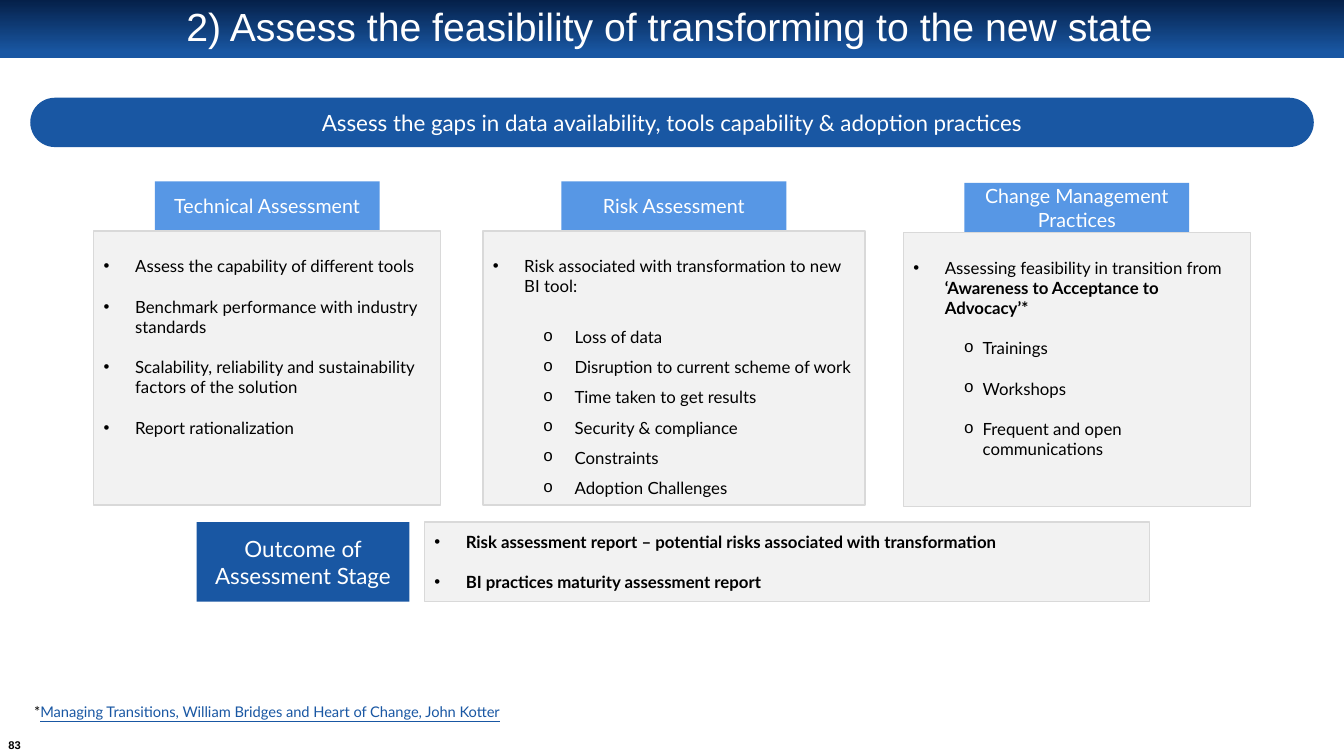
from dataclasses import dataclass

from pptx import Presentation
from pptx.dml.color import RGBColor
from pptx.enum.shapes import MSO_SHAPE
from pptx.enum.text import MSO_ANCHOR, PP_ALIGN
from pptx.oxml.ns import qn
from pptx.util import Inches, Pt
from lxml import etree

RECTANGLE, ROUNDED = MSO_SHAPE.RECTANGLE, MSO_SHAPE.ROUNDED_RECTANGLE
TOP, MIDDLE = MSO_ANCHOR.TOP, MSO_ANCHOR.MIDDLE
LEFT, CENTER = PP_ALIGN.LEFT, PP_ALIGN.CENTER
SLIDE_WIDTH, SLIDE_HEIGHT = Inches(13.33), Inches(7.5)


@dataclass(frozen=True)
class Theme:
    navy: str = "052049"
    blue: str = "1957A3"
    sky: str = "5797E5"
    panel: str = "F2F2F2"
    border: str = "D9D9D9"
    white: str = "FFFFFF"
    black: str = "000000"
    title_font: str = "Arial"
    body_font: str = "Lato"
    title_size: float = 28
    banner_size: float = 16
    head_size: float = 14
    body_size: float = 12
    note_size: float = 10.5
    page_size: float = 8
    blank_line: float = 14.4


THEME = Theme()


# Places are percentages of the slide's width and height
@dataclass(frozen=True)
class Area:
    left: float
    top: float
    width: float
    height: float


@dataclass(frozen=True)
class Span:
    words: str
    size: float = THEME.body_size
    color: str = THEME.black
    font: str = THEME.body_font
    bold: bool = False
    underline: bool = False


@dataclass(frozen=True)
class Line:
    spans: tuple[Span, ...]
    align: PP_ALIGN = LEFT
    bullet: str = ""
    level: int = 0
    indent: float = 2.34
    hanging: float = 2.34
    gap: float = 0
    spacing: float = 1


@dataclass(frozen=True)
class Column:
    heading: str
    left: float
    top: float
    width: float
    lines: tuple[Line, ...]


def across(share: float) -> int:
    return round(SLIDE_WIDTH * share / 100)


def down(share: float) -> int:
    return round(SLIDE_HEIGHT * share / 100)


def place(area: Area) -> tuple[int, int, int, int]:
    return across(area.left), down(area.top), across(area.width), down(area.height)


def label(words: str, size: float, font: str = THEME.body_font) -> Line:
    return Line((Span(words, size, THEME.white, font),), CENTER)


def point(words: str, gap: float = THEME.blank_line, bold: bool = False) -> Line:
    return Line((Span(words, bold=bold),), bullet="•", gap=gap)


def add_bullet(para, line: Line) -> None:
    properties = para._p.get_or_add_pPr()
    properties.set("marL", str(across(line.indent)))
    properties.set("indent", str(-across(line.hanging)))
    typeface = "Arial" if line.bullet == "•" else "Courier New"
    etree.SubElement(properties, qn("a:buFont"), typeface=typeface)
    etree.SubElement(properties, qn("a:buChar"), char=line.bullet)


def write(box, lines: tuple[Line, ...], anchor: MSO_ANCHOR = MIDDLE) -> None:
    frame = box.text_frame
    frame.word_wrap = True
    frame.vertical_anchor = anchor
    for index, line in enumerate(lines):
        para = frame.add_paragraph() if index else frame.paragraphs[0]
        para.text = line.spans[0].words
        for span in line.spans[1:]:
            para.add_run().text = span.words
        para.alignment = line.align
        para.level = line.level
        if line.bullet:
            add_bullet(para, line)
        if line.gap:
            para.space_before = Pt(line.gap)
        if line.spacing != 1:
            para.line_spacing = line.spacing
        for run, span in zip(para.runs, line.spans):
            run.font.name = span.font
            run.font.size = Pt(span.size)
            run.font.bold = span.bold
            run.font.underline = span.underline
            run.font.color.rgb = RGBColor.from_string(span.color)


def add_block(page, area: Area, fill: str, border: str = "", kind: MSO_SHAPE = RECTANGLE):
    box = page.shapes.add_shape(kind, *place(area))
    box.shadow.inherit = False
    box.fill.solid()
    box.fill.fore_color.rgb = RGBColor.from_string(fill)
    if border:
        box.line.color.rgb = RGBColor.from_string(border)
        box.line.width = Pt(1)
    else:
        box.line.fill.background()
    return box


def add_column(page, column: Column) -> None:
    head_width, head_height = 16.73, 6.53
    head_left = column.left + (column.width - head_width) / 2
    head = add_block(page, Area(head_left, column.top, head_width, head_height), THEME.sky)
    write(head, (label(column.heading, THEME.head_size),))
    body_area = Area(column.left, column.top + head_height, column.width, 36.27)
    body = add_block(page, body_area, THEME.panel, THEME.border)
    body.text_frame.margin_top = down(3.33)
    write(body, column.lines, TOP)


RISKS = ("Loss of data", "Disruption to current scheme of work", "Time taken to get results",
         "Security & compliance", "Constraints", "Adoption Challenges")
PRACTICES = ("Trainings", "Workshops", "Frequent and open communications")

COLUMNS = (
    Column("Technical Assessment", 6.98, 24, 25.81, (
        point("Assess the capability of different tools", gap=0),
        point("Benchmark performance with industry standards"),
        point("Scalability, reliability and sustainability factors of the solution"),
        point("Report rationalization"))),
    Column("Risk Assessment", 35.93, 24, 28.43, (
        point("Risk associated with transformation to new BI tool:", gap=0),
        *(Line((Span(risk),), bullet="o", level=1, indent=6.09, spacing=1.5,
               gap=0 if index else THEME.blank_line) for index, risk in enumerate(RISKS)))),
    Column("Change Management Practices", 67.22, 24.2, 25.81, (
        Line((Span("Assessing feasibility in transition from "),
              Span("‘Awareness to Acceptance to Advocacy’*", bold=True)), bullet="•"),
        *(Line((Span(practice),), bullet="o", level=1, indent=5.16, hanging=1.41,
               gap=THEME.blank_line) for practice in PRACTICES))),
)


def main() -> None:
    deck = Presentation()
    deck.slide_width, deck.slide_height = SLIDE_WIDTH, SLIDE_HEIGHT
    page = deck.slides.add_slide(deck.slide_layouts[6])

    # Title band
    band = add_block(page, Area(0, 0, 100, 7.73), THEME.blue)
    band.fill.gradient()
    band.fill.gradient_angle = 270
    for stop, color, position in zip(band.fill.gradient_stops, (THEME.navy, THEME.blue), (0, 0.9)):
        stop.color.rgb = RGBColor.from_string(color)
        stop.position = position
    title = page.shapes.add_textbox(*place(Area(4.95, 0.8, 89.72, 6)))
    title_span = Span("2) Assess the feasibility of transforming to the new state",
                      THEME.title_size, THEME.white, THEME.title_font)
    write(title, (Line((title_span,), CENTER, spacing=0.9),))

    # Banner and the three columns
    banner = add_block(page, Area(2.25, 12.93, 95.5, 6.53), THEME.blue, kind=ROUNDED)
    banner.adjustments[0] = 0.5
    write(banner, (label("Assess the gaps in data availability, tools capability & adoption practices",
                         THEME.banner_size),))
    for column in COLUMNS:
        add_column(page, column)

    # Outcome row
    outcome = add_block(page, Area(14.63, 69.07, 15.83, 10.53), THEME.blue)
    write(outcome, (label("Outcome of Assessment Stage", THEME.banner_size),))
    reports = add_block(page, Area(31.58, 69.07, 53.94, 10.53), THEME.panel, THEME.border)
    write(reports, (
        point("Risk assessment report – potential risks associated with transformation", 0, True),
        point("BI practices maturity assessment report", bold=True)))

    # Footnote and page number
    note = page.shapes.add_textbox(*place(Area(1.8, 92.27, 50.04, 3.73)))
    write(note, (Line((Span("*", THEME.note_size), Span(
        "Managing Transitions, William Bridges and Heart of Change, John Kotter",
        THEME.note_size, THEME.blue, underline=True))),), TOP)
    number = page.shapes.add_textbox(*place(Area(0.15, 97.33, 1.88, 2.53)))
    frame = number.text_frame
    frame.margin_left = frame.margin_right = frame.margin_top = frame.margin_bottom = 0
    write(number, (Line((Span("83", THEME.page_size, font=THEME.title_font, bold=True),), CENTER),))

    deck.save("out.pptx")


if __name__ == "__main__":
    main()
